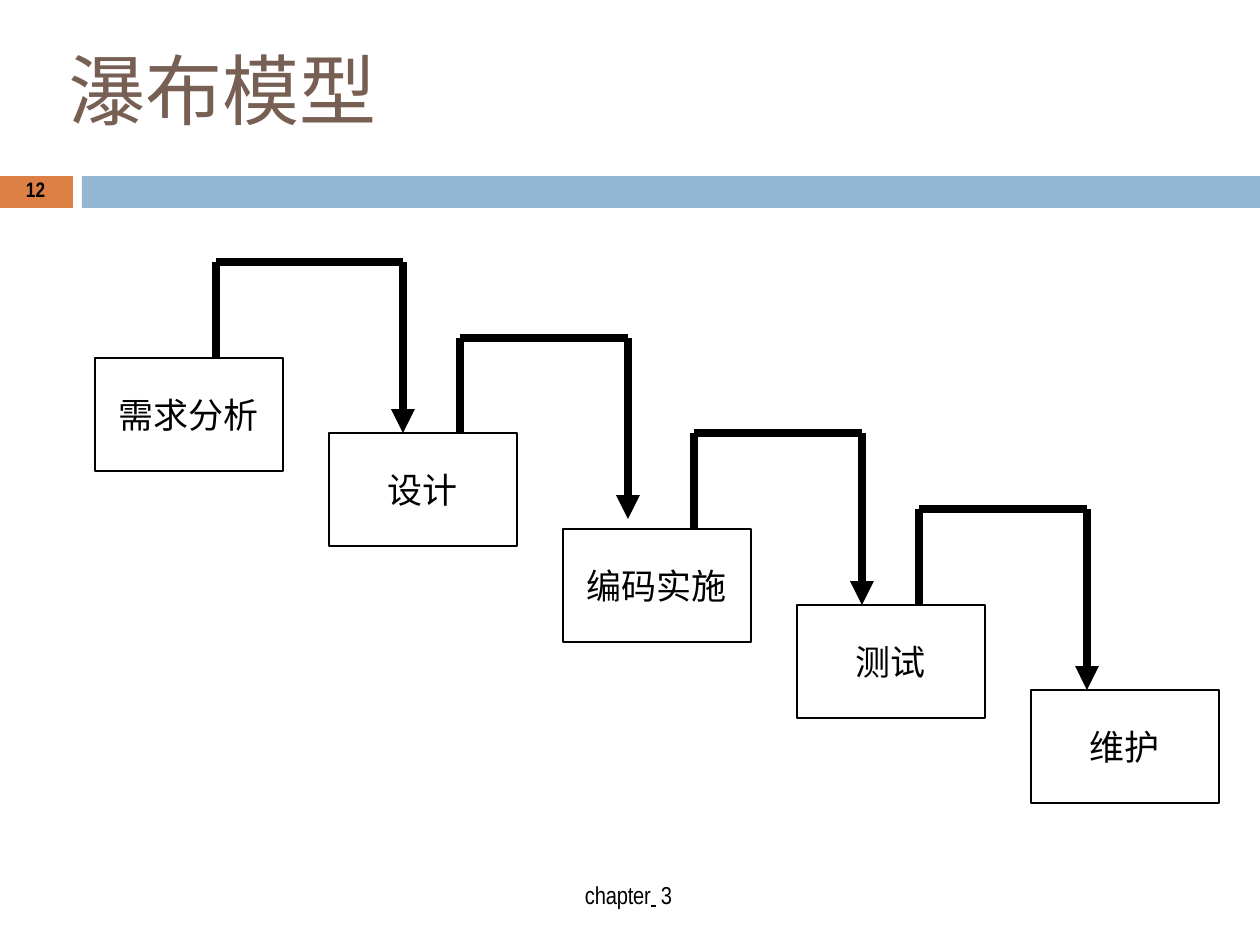
from dataclasses import dataclass

from lxml import etree
from pptx import Presentation
from pptx import util as u
from pptx.dml.color import RGBColor
from pptx.enum import shapes, text
from pptx.oxml.ns import qn

EMU_PER_PX = 914400 / 126


@dataclass(frozen=True)
class Theme:
    ink: str = "000000"
    title: str = "775F54"
    orange: str = "DD8046"
    blue: str = "93B6D2"
    cjk: str = "Noto Sans CJK SC"
    latin: str = "Arial Narrow"
    title_pt: int = 44
    stage_pt: int = 20
    footer_pt: int = 14
    number_pt: int = 12
    border_pt: float = 0.72
    arrow_pt: float = 4.56


@dataclass(frozen=True)
class Box:
    x: int
    y: int
    w: int
    h: int


@dataclass(frozen=True)
class Stage:
    name: str
    y: int


@dataclass(frozen=True)
class Step:
    """Arrow that rises from one stage, runs right and drops to the next."""
    x1: int
    x2: int
    start: int
    top: int
    end: int


@dataclass(frozen=True)
class Style:
    font: str
    size: int
    color: str
    bold: bool = False


THEME = Theme()
STAGE_X, STAGE_PITCH, STAGE_W, STAGE_H = 95, 234, 188, 113
STAGES = [
    Stage("需求分析", 358),
    Stage("设计", 433),
    Stage("编码实施", 529),
    Stage("测试", 605),
    Stage("维护", 690),
]
STEPS = [
    Step(216, 403, 358, 262, 433),
    Step(460, 628, 433, 338, 519),
    Step(694, 862, 529, 433, 605),
    Step(919, 1087, 605, 509, 690),
]


def px(n: int) -> u.Emu:
    return u.Emu(round(n * EMU_PER_PX))


def rgb(color: str) -> RGBColor:
    return RGBColor.from_string(color)


def add_run(p, content: str, style: Style, spacing: int = 0, underline: bool = False) -> None:
    """Add one run; spacing is in hundredths of a point."""
    r = p.add_run()
    r.text = content
    f = r.font
    f.name, f.size, f.bold = style.font, u.Pt(style.size), style.bold
    f.color.rgb = rgb(style.color)
    if underline:
        f.underline = True
    rpr = r._r.get_or_add_rPr()
    if spacing:
        rpr.set("spc", str(spacing))
    etree.SubElement(rpr, qn("a:ea")).set("typeface", style.font)


def clear_frame(tf, anchor):
    """Remove the margins, set the anchor and return the first paragraph."""
    tf.margin_left = tf.margin_top = tf.margin_right = tf.margin_bottom = 0
    tf.vertical_anchor = anchor
    tf.word_wrap = False
    return tf.paragraphs[0]


def add_label(s, box: Box):
    tb = s.shapes.add_textbox(px(box.x), px(box.y), px(box.w), px(box.h))
    return clear_frame(tb.text_frame, text.MSO_ANCHOR.TOP)


def add_rect(s, box: Box, fill: str = "", line: str = ""):
    sp = s.shapes.add_shape(shapes.MSO_SHAPE.RECTANGLE,
                            px(box.x), px(box.y), px(box.w), px(box.h))
    sp.shadow.inherit = False
    if fill:
        sp.fill.solid()
        sp.fill.fore_color.rgb = rgb(fill)
    else:
        sp.fill.background()
    if line:
        sp.line.color.rgb = rgb(line)
        sp.line.width = u.Pt(THEME.border_pt)
    else:
        sp.line.fill.background()
    return sp


def add_stage(s, stage: Stage, x: int) -> None:
    sp = add_rect(s, Box(x, stage.y, STAGE_W, STAGE_H), line=THEME.ink)
    p = clear_frame(sp.text_frame, text.MSO_ANCHOR.MIDDLE)
    p.alignment = text.PP_ALIGN.CENTER
    add_run(p, stage.name, Style(THEME.cjk, THEME.stage_pt, THEME.ink))


def add_line(s, x1: int, y1: int, x2: int, y2: int, arrow: bool = False) -> None:
    c = s.shapes.add_connector(shapes.MSO_CONNECTOR.STRAIGHT,
                               px(x1), px(y1), px(x2), px(y2))
    c.line.color.rgb = rgb(THEME.ink)
    c.line.width = u.Pt(THEME.arrow_pt)
    if arrow:
        etree.SubElement(c.line._get_or_add_ln(), qn("a:tailEnd")).set("type", "triangle")
    etree.SubElement(c._element.spPr, qn("a:effectLst"))


def add_step(s, step: Step) -> None:
    add_line(s, step.x1, step.start, step.x1, step.top)
    add_line(s, step.x1, step.top, step.x2, step.top)
    add_line(s, step.x2, step.top, step.x2, step.end, arrow=True)


def main() -> None:
    prs = Presentation()
    prs.slide_width, prs.slide_height = px(1260), px(945)
    s = prs.slides.add_slide(prs.slide_layouts[6])

    add_rect(s, Box(0, 176, 73, 32), fill=THEME.orange)
    add_rect(s, Box(82, 176, 1178, 32), fill=THEME.blue)

    title = add_label(s, Box(69, 42, 312, 96))
    add_run(title, "瀑布模型", Style(THEME.cjk, THEME.title_pt, THEME.title))

    footer = add_label(s, Box(585, 880, 103, 33))
    footer_style = Style(THEME.latin, THEME.footer_pt, THEME.ink)
    add_run(footer, "chapter", footer_style, spacing=-10)
    add_run(footer, " ", footer_style, spacing=250, underline=True)
    add_run(footer, "3", footer_style)

    number = add_label(s, Box(26, 177, 23, 29))
    add_run(number, "12", Style(THEME.latin, THEME.number_pt, THEME.ink, bold=True))

    for i, stage in enumerate(STAGES):
        add_stage(s, stage, STAGE_X + i * STAGE_PITCH)
    for step in STEPS:
        add_step(s, step)

    prs.save("out.pptx")


if __name__ == "__main__":
    main()
